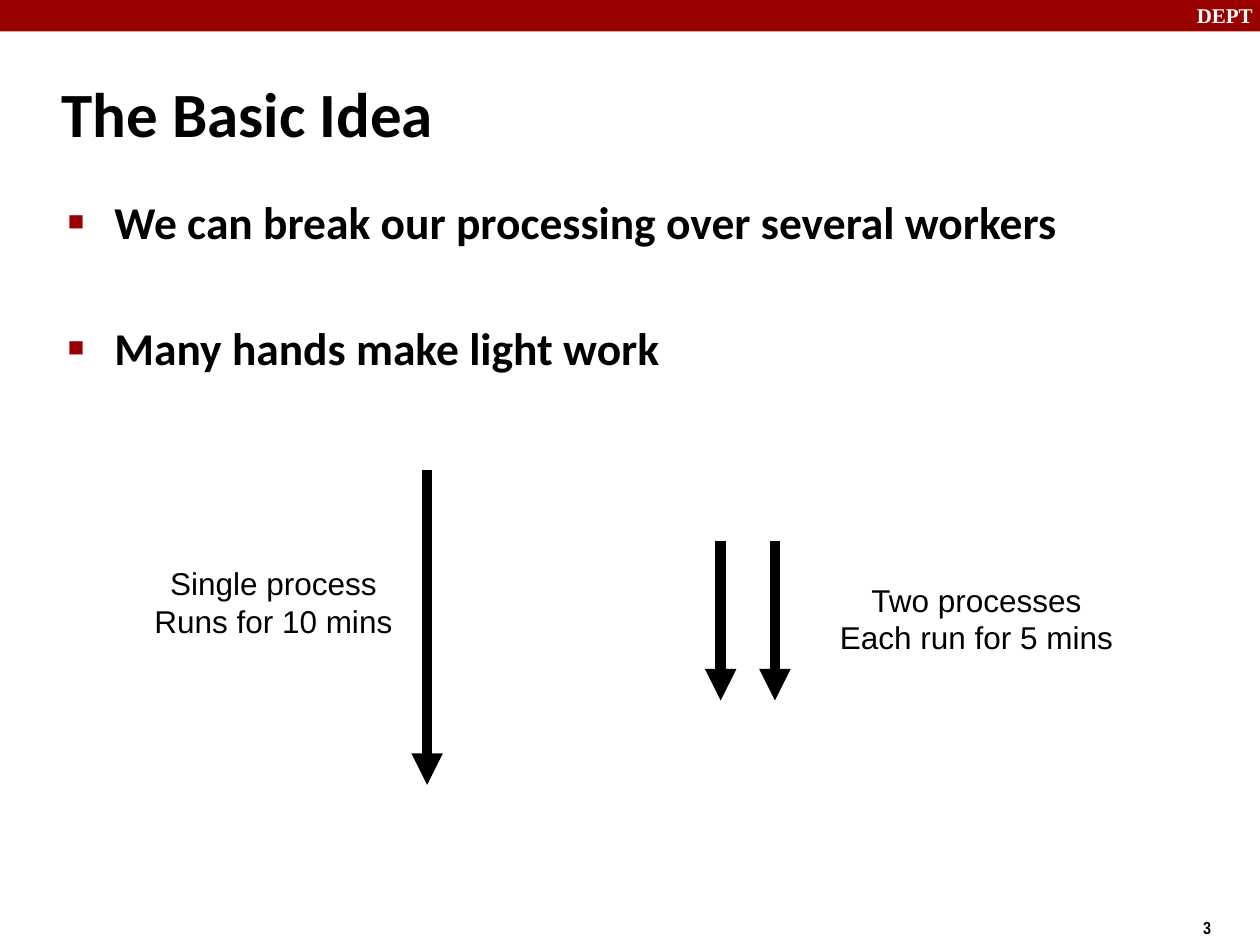
from collections import namedtuple

from lxml.etree import SubElement
from pptx import Presentation
from pptx.dml.color import RGBColor
from pptx.enum.shapes import MSO_CONNECTOR, MSO_SHAPE
from pptx.enum.text import MSO_ANCHOR, PP_ALIGN
from pptx.oxml.ns import qn
from pptx.util import Inches, Pt

BLACK = RGBColor(0x00, 0x00, 0x00)
WHITE = RGBColor(0xFF, 0xFF, 0xFF)
DARK_RED = RGBColor(0x99, 0x00, 0x00)

COLUMNS, ROWS = 100, 75
SLIDE_WIDTH, SLIDE_HEIGHT = Inches(10), Inches(7.5)

Box = namedtuple("Box", "left top width height")


def across(columns):
    """Turn grid columns into a length."""
    return round(SLIDE_WIDTH * columns / COLUMNS)


def down(rows):
    """Turn grid rows into a length."""
    return round(SLIDE_HEIGHT * rows / ROWS)


def place(box):
    """Turn a grid box into left, top, width and height."""
    return across(box.left), down(box.top), across(box.width), down(box.height)


def inside(box, left, top, width, height):
    """Return a box offset from the corner of another box."""
    return Box(box.left + left, box.top + top, width, height)


def add_text(slide, box, lines, font_name, size, color=BLACK, bold=True, alignment=PP_ALIGN.LEFT):
    """Add a wrapped text box with one paragraph per line."""
    frame = slide.shapes.add_textbox(*place(box)).text_frame
    frame.word_wrap = True
    frame.text = "\n".join(lines)
    for paragraph in frame.paragraphs:
        paragraph.alignment = alignment
        paragraph.font.name = font_name
        paragraph.font.size = Pt(size)
        paragraph.font.bold = bold
        paragraph.font.color.rgb = color
    return frame


def add_bullet(paragraph):
    """Give a paragraph a hanging square bullet."""
    properties = paragraph._p.get_or_add_pPr()
    properties.set("marL", str(Inches(0.38)))
    properties.set("indent", str(-Inches(0.37)))
    color = SubElement(properties, qn("a:buClr"))
    SubElement(color, qn("a:srgbClr"), val=str(DARK_RED))
    SubElement(properties, qn("a:buSzPct"), val="60000")
    SubElement(properties, qn("a:buFont"), typeface="Arial")
    SubElement(properties, qn("a:buChar"), char="■")


def add_down_arrow(slide, column, top, length):
    """Add a thick arrow that points straight down."""
    arrow = slide.shapes.add_connector(
        MSO_CONNECTOR.STRAIGHT, across(column), down(top), across(column), down(top + length)
    )
    arrow.line.color.rgb = BLACK
    arrow.line.width = Pt(6)
    SubElement(arrow.line._get_or_add_ln(), qn("a:tailEnd"), type="triangle")
    SubElement(arrow._element.spPr, qn("a:effectLst"))


def add_banner(slide, box, label):
    """Add the red banner with its label at the right end."""
    banner = slide.shapes.add_shape(MSO_SHAPE.RECTANGLE, *place(box))
    banner.shadow.inherit = False
    banner.fill.solid()
    banner.fill.fore_color.rgb = DARK_RED
    banner.line.fill.background()
    label_box = inside(box, box.width - 6, -0.3, 6.7, 3)
    add_text(slide, label_box, [label], "Times New Roman", 12, WHITE)


def add_title(slide, box, title):
    """Add the slide title, centred vertically in its box."""
    add_text(slide, box, [title], "Calibri", 36).vertical_anchor = MSO_ANCHOR.MIDDLE


def add_bullets(slide, box, points):
    """Add the bulleted points, widely spaced."""
    frame = add_text(slide, box, points, "Calibri", 26)
    for index, paragraph in enumerate(frame.paragraphs):
        paragraph.space_before = Pt(41 if index else 5.2)
        add_bullet(paragraph)


def add_processes(slide, box, arrow_columns, label_box, lines):
    """Add arrows as tall as the box and the label beside them."""
    for column in arrow_columns:
        add_down_arrow(slide, box.left + column, box.top, box.height)
    add_text(slide, inside(box, *label_box), lines, "Arial", 18, bold=False, alignment=PP_ALIGN.CENTER)


def add_page_number(slide, box, number):
    """Add the page number."""
    add_text(slide, box, [str(number)], "Arial Narrow", 10)


def main():
    """Build the slide and save it."""
    presentation = Presentation()
    presentation.slide_width = SLIDE_WIDTH
    presentation.slide_height = SLIDE_HEIGHT
    slide = presentation.slides.add_slide(presentation.slide_layouts[6])

    add_banner(slide, Box(0, 0, COLUMNS, 2.5), "DEPT")
    add_page_number(slide, Box(94.5, 72.3, 7.5, 2.9), 3)
    add_title(slide, Box(3.9, 4.8, 83, 8.3), "The Basic Idea")
    add_bullets(
        slide,
        Box(4.3, 14.9, 86.3, 54.4),
        ["We can break our processing over several workers", "Many hands make light work"],
    )
    add_processes(
        slide,
        Box(10.2, 37.3, 23.7, 25),
        [23.7],
        (0, 7, 23, 6.6),
        ["Single process", "Runs for 10 mins"],
    )
    add_processes(
        slide,
        Box(57.2, 42.9, 32.3, 12.7),
        [0, 4.3],
        (8.3, 2.7, 24, 9.4),
        ["Two processes", "Each run for 5 mins"],
    )
    presentation.save("out.pptx")


if __name__ == "__main__":
    main()
